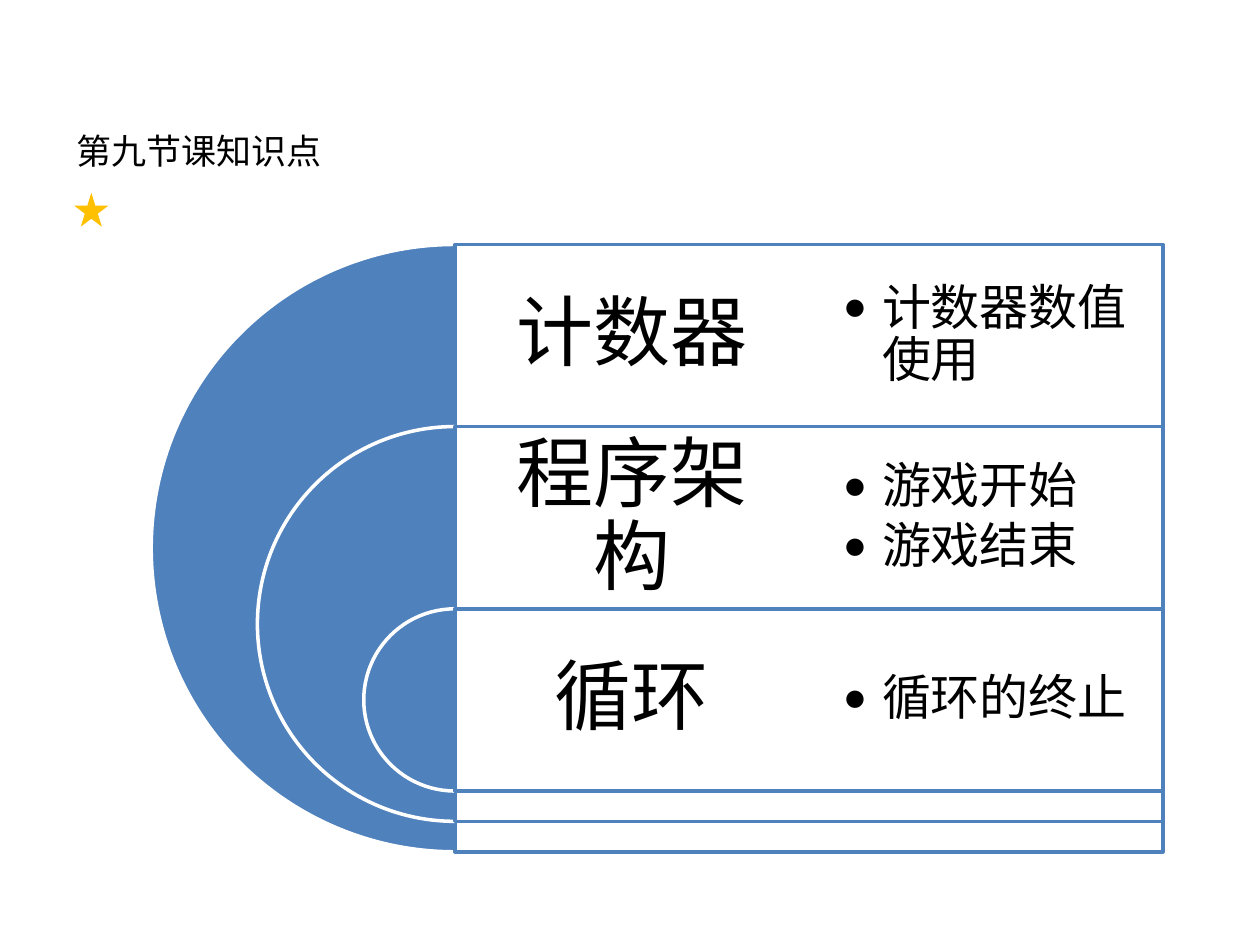
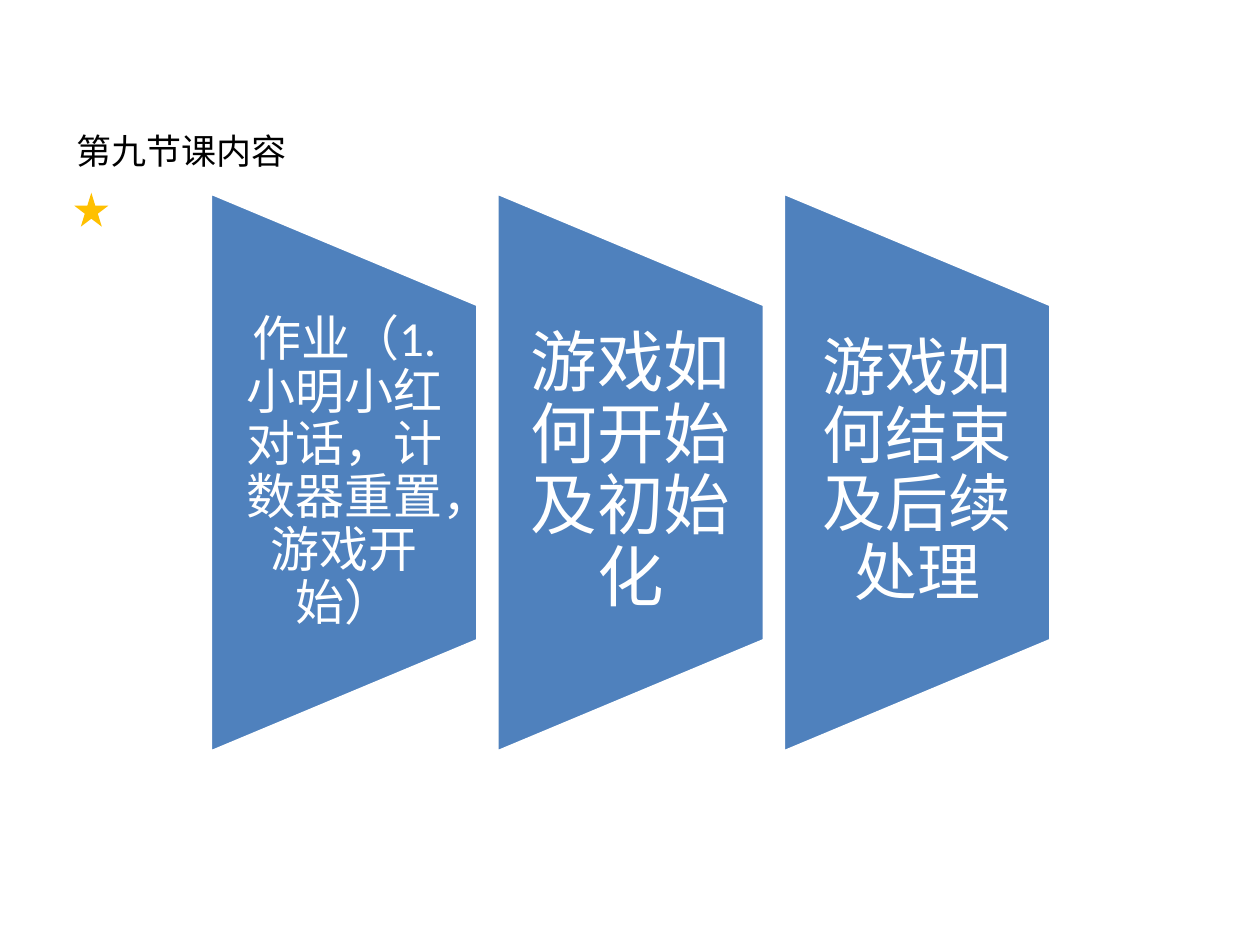
import pptx
import pptx.util
import pptx.dml.color
import pptx.enum.shapes
import pptx.enum.text
import pptx.oxml.ns
from lxml import etree

Inches = pptx.util.Inches
Pt = pptx.util.Pt
KIND = pptx.enum.shapes.MSO_SHAPE
ALIGN = pptx.enum.text.PP_ALIGN
qn = pptx.oxml.ns.qn

HUES = {"blue": "4F81BD", "gold": "FFC000", "white": "FFFFFF", "black": "000000"}
LATIN = "Calibri"
HAN = "Noto Sans CJK SC"
LINE = 0.9

TOPICS = [
    ("计数器", ["计数器数值使用"]),
    ("程序架构", ["游戏开始", "游戏结束"]),
    ("循环", ["循环的终止"]),
]
STEPS = [
    ("作业（1.小明小红对话，计数器重置，游戏开始）", 28, 0.19),
    ("游戏如何开始及初始化", 38, 0.26),
    ("游戏如何结束及后续处理", 36, 0.25),
]


def tint(name):
    """Return a named colour."""
    return pptx.dml.color.RGBColor.from_string(HUES[name])


def shape(slide, kind, box, fill, line=None):
    """Add a flat preset shape in a box of inches."""
    item = slide.shapes.add_shape(kind, *map(Inches, box))
    item.shadow.inherit = False
    item.fill.solid()
    item.fill.fore_color.rgb = tint(fill)
    if line:
        item.line.color.rgb = tint(line)
        item.line.width = Pt(2)
    else:
        item.line.fill.background()
    return item


def write(para, text, size, hue, font=LATIN):
    """Add one run to a paragraph."""
    run = para.add_run()
    run.text = text
    run.font.size = Pt(size)
    run.font.name = font
    run.font.color.rgb = tint(hue)
    etree.SubElement(run.font._element, qn("a:ea"), typeface=HAN)


def frame(slide, box, side, edge):
    """Add a wrapped, vertically centred text box and return its frame."""
    body = slide.shapes.add_textbox(*map(Inches, box)).text_frame
    body.word_wrap = True
    body.vertical_anchor = pptx.enum.text.MSO_ANCHOR.MIDDLE
    body.margin_left = body.margin_right = Inches(side)
    body.margin_top = body.margin_bottom = Inches(edge)
    return body


def label(slide, box, text, size, hue, side, edge):
    """Add a centred label."""
    para = frame(slide, box, side, edge).paragraphs[0]
    para.alignment = ALIGN.CENTER
    para.line_spacing = LINE
    write(para, text, size, hue)


def points(slide, box, lines):
    """Add a bulleted list."""
    body = frame(slide, box, 0.27, 0.27)
    for i, text in enumerate(lines):
        para = body.add_paragraph() if i else body.paragraphs[0]
        para.line_spacing = LINE
        para.space_after = Pt(4)
        props = para._p.get_or_add_pPr()
        props.set("marL", str(Inches(0.31)))
        props.set("indent", str(-Inches(0.31)))
        etree.SubElement(props, qn("a:buFont"), typeface=LATIN)
        etree.SubElement(props, qn("a:buChar"), char="•")
        write(para, text, 28, "black")


def head(slide, box, text):
    """Place the slide title with the star below it."""
    left, top, wide, high = box
    body = slide.shapes.add_textbox(*map(Inches, box)).text_frame
    body.word_wrap = False
    body.auto_size = pptx.enum.text.MSO_AUTO_SIZE.SHAPE_TO_FIT_TEXT
    write(body.paragraphs[0], text, 20, "black", HAN)
    shape(slide, KIND.STAR_5_POINT, (left + 0.08, top + 0.55, 0.27, 0.27), "gold")


def rings(slide, box, topics):
    """Nest half discs on the left, each with its row panel on the right."""
    left, top, wide, high = box
    row = high * 0.3
    mid = left + high / 2
    width = wide - high / 2
    half = width / 2
    for i, (name, lines) in enumerate(topics):
        y = top + i * row
        size = high * (1 - 0.35 * i)
        disc = shape(slide, KIND.PIE, (mid - size / 2, y, size, size), "blue", "white")
        disc.adjustments[0] = 54
        disc.adjustments[1] = 162
        panel = shape(slide, KIND.RECTANGLE, (mid, y, width, size), "white", "blue")
        color = panel._element.spPr.find(qn("a:solidFill"))[0]
        etree.SubElement(color, qn("a:alpha"), val="90000")
        label(slide, (mid, y, half, row), name, 44, "black", 0.2, 0.18)
        points(slide, (mid + half, y, half, row), lines)


def steps(slide, box, items):
    """Set equal trapezoids side by side, narrowing to the right."""
    left, top, wide, high = box
    gap = 0.15
    width = (wide - gap * (len(items) - 1)) / len(items)
    turn = (high - width) / 2
    for i, (text, size, side) in enumerate(items):
        x = left + i * (width + gap)
        part = shape(slide, KIND.FLOWCHART_MANUAL_OPERATION,
                     (x - turn, top + turn, high, width), "blue", "white")
        part.rotation = 270
        label(slide, (x, top + high * 0.2, width, high * 0.6),
              text, size, "white", side, 0)


def main():
    """Build both slides and save them."""
    deck = pptx.Presentation()
    deck.slide_width = Inches(10)
    deck.slide_height = Inches(7.5)
    pages = [
        ("第九节课知识点", 2.17, rings, (1.2, 1.94, 8.03, 4.82), TOPICS),
        ("第九节课内容", 1.88, steps, (1.67, 1.53, 6.67, 4.44), STEPS),
    ]
    for title, wide, draw, box, data in pages:
        slide = deck.slides.add_slide(deck.slide_layouts[6])
        head(slide, (0.51, 0.98, wide, 0.44), title)
        draw(slide, box, data)
    deck.save("out.pptx")


main()
